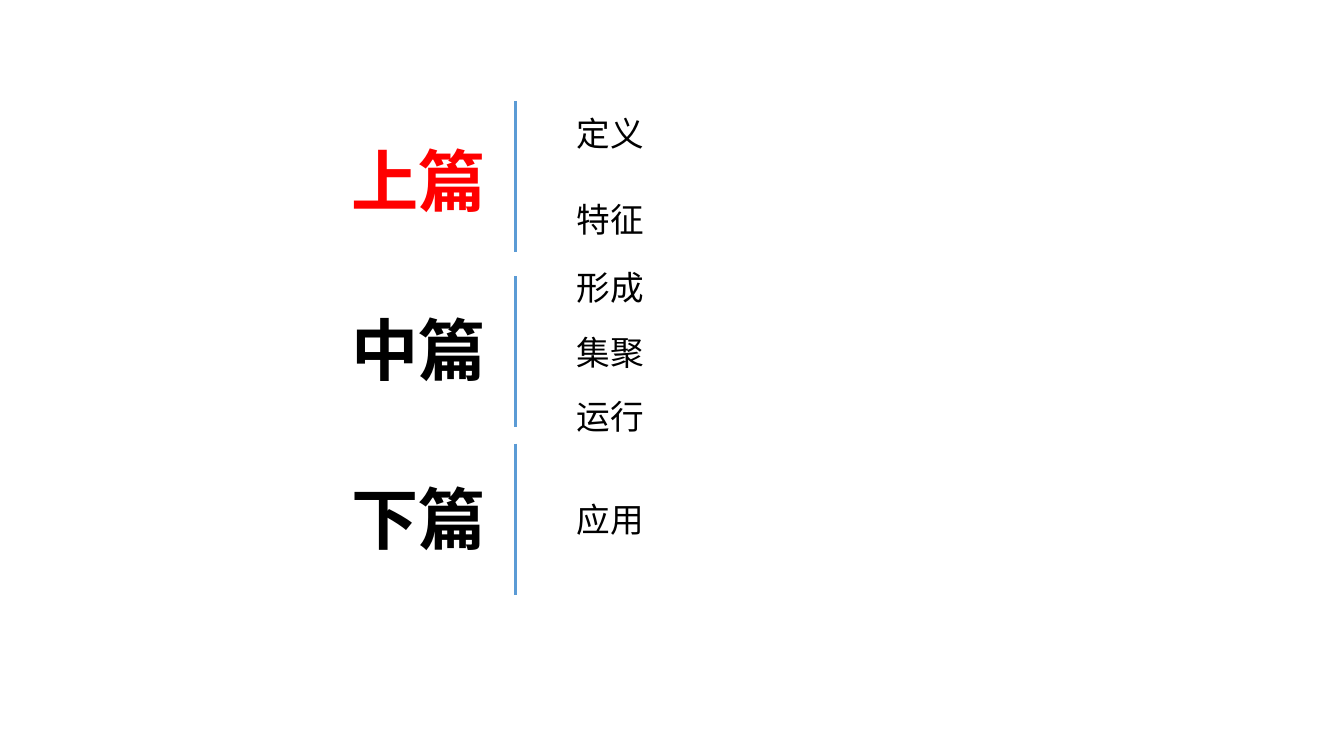
from dataclasses import dataclass
from lxml.etree import SubElement
from pptx import Presentation
from pptx.dml.color import RGBColor
from pptx.enum.shapes import MSO_CONNECTOR as Connector
from pptx.enum.text import MSO_AUTO_SIZE as AutoSize
from pptx.oxml.ns import qn
from pptx.util import Inches, Pt

SECTIONS = [
    {"heading": "上篇", "topics": ["定义", "特征"], "rule_middle": 1.75, "topic_pitch": 0.85},
    {"heading": "中篇", "topics": ["形成", "集聚", "运行"], "rule_middle": 3.49, "topic_pitch": 0.64},
    {"heading": "下篇", "topics": ["应用"], "rule_middle": 5.15, "topic_pitch": 0},
]


@dataclass(frozen=True)
class Theme:
    font: str = "Calibri"
    highlight: RGBColor = RGBColor(0xFF, 0x00, 0x00)
    text: RGBColor = RGBColor(0x00, 0x00, 0x00)
    rule: RGBColor = RGBColor(0x5B, 0x9B, 0xD5)
    heading_size: int = 48
    topic_size: int = 24
    rule_width: int = 2


THEME = Theme()
SLIDE_WIDTH, SLIDE_HEIGHT = 13.33, 7.5
HEADING_LEFT, HEADING_WIDTH, HEADING_HEIGHT = 3.39, 1.72, 0.91
HEADING_TOP, HEADING_PITCH = 1.33, 1.68
RULE_LEFT = HEADING_LEFT + HEADING_WIDTH
RULE_LENGTH = SLIDE_HEIGHT / 5
TOPIC_LEFT, TOPIC_WIDTH, TOPIC_HEIGHT = 5.62, 0.93, 0.5


def add_label(slide, text, left, top, width, height, size, color, bold=False):
    shape = slide.shapes.add_textbox(Inches(left), Inches(top), Inches(width), Inches(height))
    frame = shape.text_frame
    frame.text = text
    frame.word_wrap = False
    frame.auto_size = AutoSize.SHAPE_TO_FIT_TEXT
    font = frame.paragraphs[0].runs[0].font
    font.name = THEME.font
    font.size = Pt(size)
    font.bold = bold
    font.color.rgb = color


def add_rule(slide, middle):
    x = Inches(RULE_LEFT)
    top, bottom = Inches(middle - RULE_LENGTH / 2), Inches(middle + RULE_LENGTH / 2)
    rule = slide.shapes.add_connector(Connector.STRAIGHT, x, top, x, bottom)
    rule.line.color.rgb = THEME.rule
    rule.line.width = Pt(THEME.rule_width)
    SubElement(rule.element.spPr, qn("a:effectLst"))


def add_section(slide, row, section):
    color = THEME.highlight if row == 0 else THEME.text
    add_label(slide, section["heading"], HEADING_LEFT, HEADING_TOP + row * HEADING_PITCH,
              HEADING_WIDTH, HEADING_HEIGHT, THEME.heading_size, color, bold=True)
    middle = section["rule_middle"]
    add_rule(slide, middle)
    topics, pitch = section["topics"], section["topic_pitch"]
    first_top = middle - (len(topics) - 1) * pitch / 2 - TOPIC_HEIGHT / 2
    for index, topic in enumerate(topics):
        add_label(slide, topic, TOPIC_LEFT, first_top + index * pitch,
                  TOPIC_WIDTH, TOPIC_HEIGHT, THEME.topic_size, THEME.text)


def main():
    presentation = Presentation()
    presentation.slide_width = Inches(SLIDE_WIDTH)
    presentation.slide_height = Inches(SLIDE_HEIGHT)
    slide = presentation.slides.add_slide(presentation.slide_layouts[6])
    for row, section in enumerate(SECTIONS):
        add_section(slide, row, section)
    presentation.save("out.pptx")


if __name__ == "__main__":
    main()
